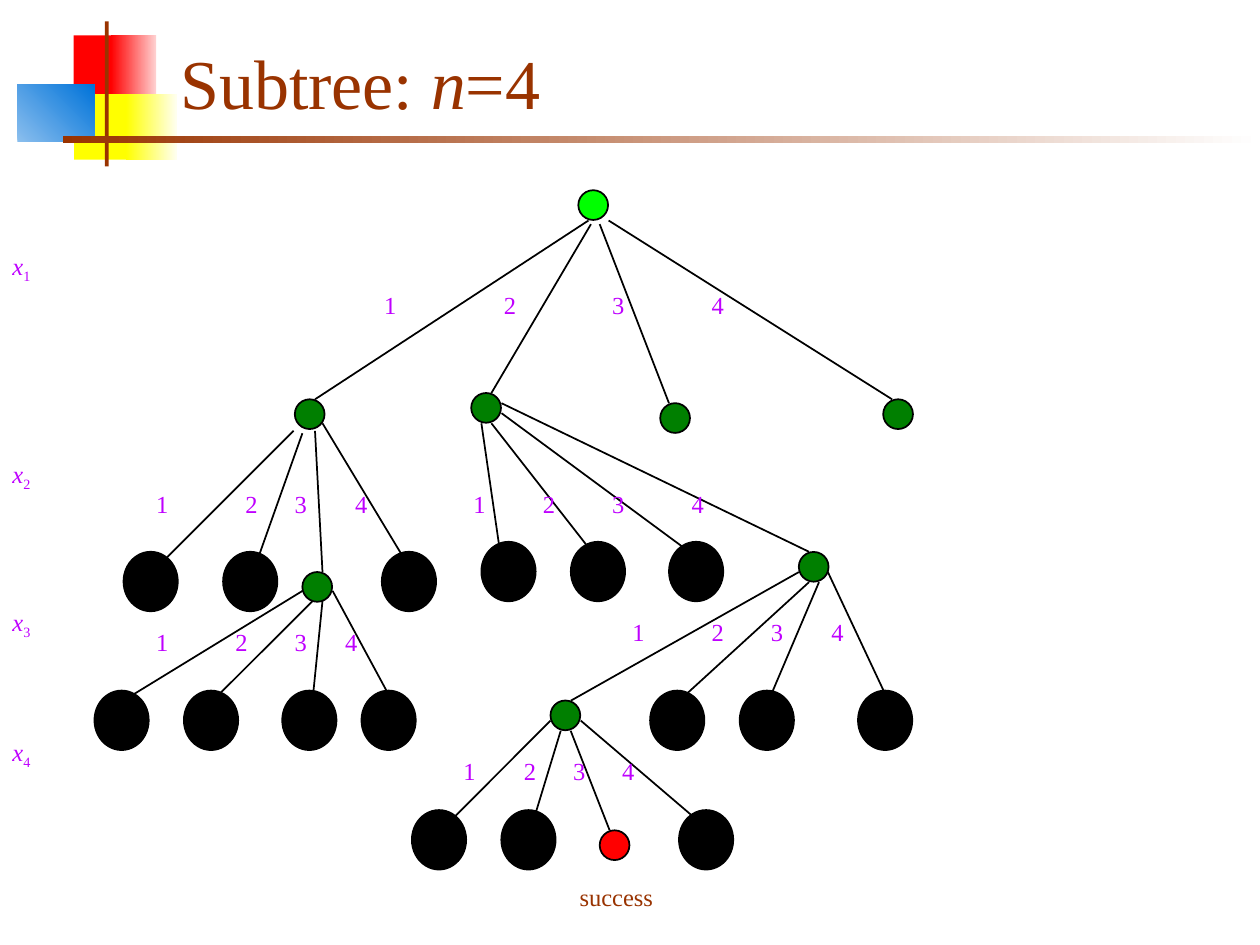
from lxml import etree
from pptx import Presentation
from pptx import util as u
from pptx.dml.color import RGBColor
from pptx.enum import shapes, text
from pptx.oxml.ns import qn

BLACK = RGBColor(0x00, 0x00, 0x00)
WHITE = RGBColor(0xFF, 0xFF, 0xFF)
RED = RGBColor(0xFF, 0x00, 0x00)
PINK = RGBColor(0xFF, 0xD1, 0xD1)
YELLOW = RGBColor(0xFF, 0xFF, 0x00)
CREAM = RGBColor(0xFF, 0xFF, 0xF0)
SKY = RGBColor(0x8B, 0xBF, 0xEE)
BLUE = RGBColor(0x00, 0x73, 0xD9)
BROWN = RGBColor(0x99, 0x33, 0x00)
LIME = RGBColor(0x00, 0xFF, 0x00)
GREEN = RGBColor(0x00, 0x7F, 0x00)
PURPLE = RGBColor(0xBF, 0x00, 0xFF)

FONT = "Times New Roman"
LABEL = {"size": u.Pt(14), "color": PURPLE}
NODE_SIZE = (17, 17)
DEAD_SIZE = (31, 34)

BRANCHES = [
    {"box": (330.5, 108.7), "color": LIME, "label_top": 53.3, "labels": (-118.1, -49.7, 12.2, 69.1),
     "edges": ((5.8, 17.3, -150.5, 119.5), (7.2, 19.4, -49.7, 115.9),
               (12.2, 19.4, 51.8, 121.7), (17.3, 17.3, 179.3, 119.5)),
     "dead_top": 0, "dead": (), "ends": ((46.8, 121.7, GREEN), (174.2, 119.5, GREEN))},
    {"box": (168.5, 228.2), "color": GREEN, "label_top": 47.5, "labels": (-86.4, -35.3, -7.2, 27.4),
     "edges": ((-0.7, 18, -84.2, 101.5), (4.3, 19.4, -23.8, 98.6),
               (11.5, 18, 15.8, 98.6), (15.8, 13.7, 67, 98.6)),
     "dead_top": 87.1, "dead": (-97.9, -41, 49.7), "ends": ()},
    {"box": (269.3, 224.6), "color": GREEN, "label_top": 51.1, "labels": (-5.8, 33.8, 73.4, 118.8),
     "edges": ((5.8, 17.3, 17.3, 96.5), (11.5, 17.3, 73.4, 96.5),
               (17.3, 11.5, 124.6, 90.7), (17.3, 5.8, 193, 90.7)),
     "dead_top": 85, "dead": (5.8, 56.9, 113), "ends": ()},
    {"box": (172.8, 326.9), "color": GREEN, "label_top": 28.1, "labels": (-90.7, -45.4, -11.5, 17.3),
     "edges": ((0, 10.8, -102.2, 73.4), (5.8, 16.6, -51.1, 73.4),
               (11.5, 16.6, 5.8, 73.4), (17.3, 10.8, 51.1, 73.4)),
     "dead_top": 67.7, "dead": (-118.8, -67.7, -11.5, 33.8), "ends": ()},
    {"box": (456.5, 315.4), "color": GREEN, "label_top": 33.8, "labels": (-102.2, -56.9, -23, 11.5),
     "edges": ((0, 11.5, -130.3, 85), (5.8, 17.3, -68.4, 85),
               (11.5, 17.3, -17.3, 85), (16.6, 11.5, 51.1, 85)),
     "dead_top": 79.2, "dead": (-85, -33.8, 33.8), "ends": ()},
    {"box": (314.6, 400.3), "color": GREEN, "label_top": 28.1, "labels": (-56.9, -22.3, 5.8, 33.8),
     "edges": ((0, 11.5, -62.6, 74.2), (5.8, 17.3, -11.5, 74.2),
               (11.5, 17.3, 33.8, 74.2), (17.3, 11.5, 90.7, 74.2)),
     "dead_top": 62.6, "dead": (-79.2, -28.1, 73.4), "ends": ((28.1, 74.2, RED),)},
]


def points(*values):
    """Convert numbers to point lengths."""
    return [u.Pt(value) for value in values]


def add_text(slide, box, runs, style, before=0, **paragraph_format):
    """Add one paragraph of (words, italic, baseline) runs."""
    frame = slide.shapes.add_textbox(*points(*box)).text_frame
    frame.word_wrap = True
    frame.vertical_anchor = text.MSO_ANCHOR.TOP
    paragraph = frame.paragraphs[0]
    paragraph.space_before = u.Pt(before)
    for name, value in paragraph_format.items():
        setattr(paragraph, name, value)
    for words, italic, baseline in runs:
        run = paragraph.add_run()
        run.text = words
        for name, value in {"name": FONT, "size": style["size"], "italic": italic}.items():
            setattr(run.font, name, value)
        run.font.color.rgb = style["color"]
        if baseline:
            run.font._element.set("baseline", str(baseline))
    return frame


def add_bar(slide, box, start, end=None, angle=0):
    """Add a borderless rectangle, graded when an end colour is given."""
    shape = slide.shapes.add_shape(shapes.MSO_SHAPE.RECTANGLE, *points(*box))
    shape.shadow.inherit = False
    shape.line.fill.background()
    if end is None:
        shape.fill.solid()
        shape.fill.fore_color.rgb = start
        return
    shape.fill.gradient()
    shape.fill.gradient_angle = angle
    for stop, color, position in zip(shape.fill.gradient_stops, (start, end), (0, 1)):
        stop.color.rgb = color
        stop.position = position


def add_node(slide, left, top, size, color):
    """Add a round tree node."""
    shape = slide.shapes.add_shape(shapes.MSO_SHAPE.OVAL, *points(left, top, *size))
    shape.shadow.inherit = False
    shape.fill.solid()
    shape.fill.fore_color.rgb = color
    shape.line.color.rgb = BLACK
    shape.line.width = u.Pt(1)


def add_edge(slide, *ends):
    """Add a plain black tree edge."""
    connector = slide.shapes.add_connector(shapes.MSO_CONNECTOR.STRAIGHT, *points(*ends))
    connector.line.color.rgb = BLACK
    connector.line.width = u.Pt(1)
    etree.SubElement(connector._element.spPr, qn("a:effectLst"))


def add_header(slide, left, top):
    """Place the coloured blocks, the rules and the title."""
    bars = [
        ((32, 8, 25.2, 37.4), RED),
        ((53.3, 8, 26, 37.4), RED, PINK),
        ((32.4, 41.6, 33, 37.4), YELLOW),
        ((62, 41.6, 29, 37.4), YELLOW, CREAM),
        ((0, 36, 44, 33), SKY, BLUE, 45),
        ((49.9, 0, 2.2, 83), BROWN),
        ((26, 65.6, 684, 3.8), BROWN, WHITE),
    ]
    for (x, y, width, height), *colors in bars:
        add_bar(slide, (left + x, top + y, width, height), *colors)
    runs = [("Subtree: ", False, 0), ("n", True, 0), ("=4", False, 0)]
    frame = add_text(slide, (left + 86, top + 5.8, 613.4, 57.6), runs,
                     {"size": u.Pt(40), "color": BROWN})
    frame.vertical_anchor = text.MSO_ANCHOR.MIDDLE


def add_branch(slide, box, color, labels, label_top, edges, dead, dead_top, ends):
    """Place a node with its edges, edge numbers and end nodes."""
    left, top = box
    for x1, y1, x2, y2 in edges:
        add_edge(slide, left + x1, top + y1, left + x2, top + y2)
    add_node(slide, left, top, NODE_SIZE, color)
    for number, x in enumerate(labels, 1):
        add_text(slide, (left + x, top + label_top, 44, 24), [(str(number), False, 0)],
                 LABEL, before=8.8)
    for x in dead:
        add_node(slide, left + x, top + dead_top, DEAD_SIZE, BLACK)
    for x, y, end_color in ends:
        add_node(slide, left + x, top + y, NODE_SIZE, end_color)


def add_levels(slide, left, tops):
    """Place the variable names down the side."""
    for number, top in enumerate(tops, 1):
        add_text(slide, (left, top, 42.5, 26.6), [("x", True, 0), (str(number), False, -25000)],
                 LABEL, before=8.8)


def main():
    """Build the slide and save it."""
    presentation = Presentation()
    presentation.slide_width, presentation.slide_height = points(720, 540)
    slide = presentation.slides.add_slide(presentation.slide_layouts[6])
    add_header(slide, 10, 12.2)
    for branch in BRANCHES:
        add_branch(slide, **branch)
    add_levels(slide, 0, (139.7, 258.5, 343.4, 417.6))
    add_text(slide, (322, 500.4, 60.4, 24.5), [("success", False, 0)],
             {"size": u.Pt(14), "color": BROWN}, alignment=text.PP_ALIGN.CENTER)
    presentation.save("out.pptx")


if __name__ == "__main__":
    main()
